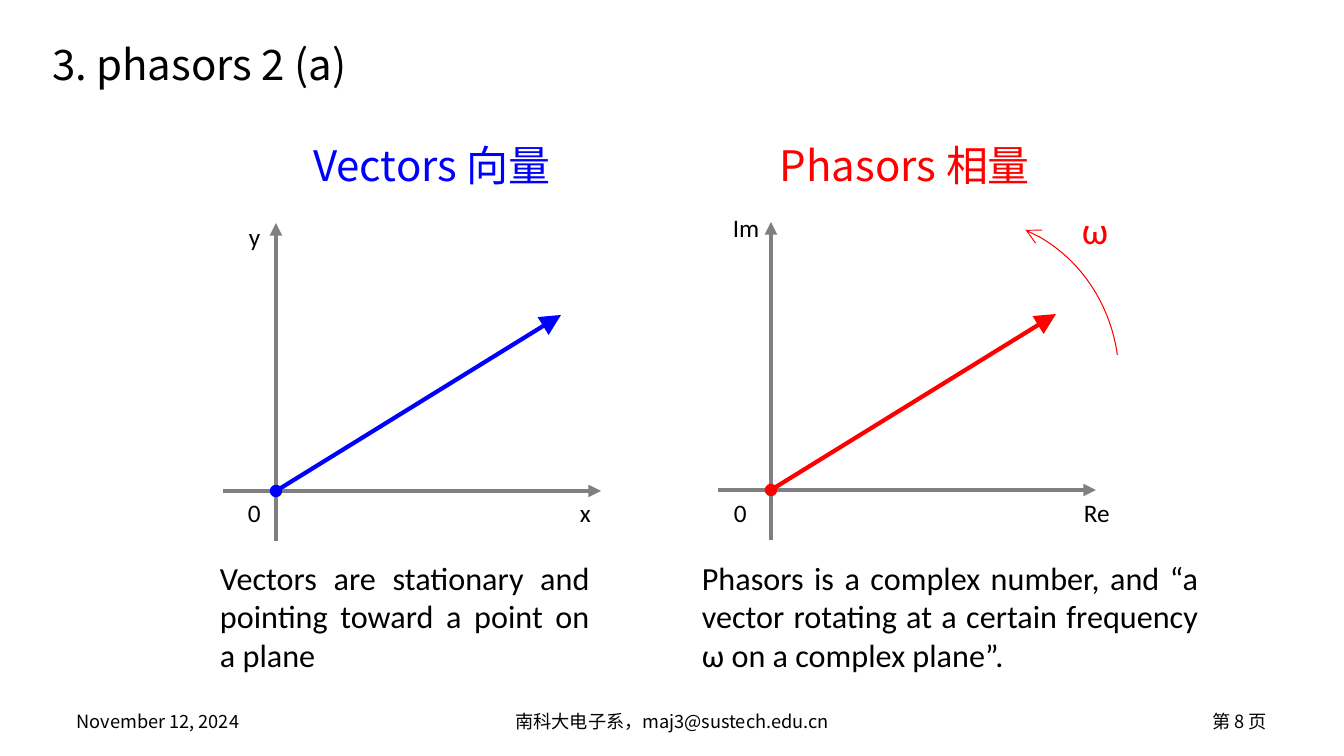
from dataclasses import dataclass

from lxml import etree
from pptx import Presentation
from pptx import util as u
from pptx.dml.color import RGBColor
from pptx.enum import shapes, text
from pptx.oxml.ns import qn

EMU_PER_PX = 914400 / 100.8
ALIGN = text.PP_ALIGN
ANCHOR = text.MSO_ANCHOR


@dataclass(frozen=True)
class Theme:
    ink: str = "000000"
    axis: str = "808080"
    vector: str = "0000FF"
    phasor: str = "FF0000"
    heading_font: str = "Noto Sans CJK SC"
    body_font: str = "Calibri"
    heading: int = 30
    omega: int = 27
    body: int = 23
    label: int = 18
    footer: int = 13
    thick: float = 3
    thin: float = 0.75


T = Theme()


def px(n):
    return u.Emu(round(n * EMU_PER_PX))


def write(sp, words, size, color=T.ink, font=T.body_font, align=ALIGN.LEFT,
          anchor=ANCHOR.TOP, wrap=True):
    tf = sp.text_frame
    tf.text = words
    tf.word_wrap = wrap
    tf.auto_size = text.MSO_AUTO_SIZE.NONE
    tf.vertical_anchor = anchor
    p = tf.paragraphs[0]
    p.alignment = align
    p.space_before = u.Pt(0)
    p.font.size = u.Pt(size)
    p.font.name = font
    p.font.color.rgb = RGBColor.from_string(color)
    defaults = p._p.pPr.find(qn("a:defRPr"))
    latin = defaults.find(qn("a:latin"))
    latin.addnext(latin.makeelement(qn("a:ea"), {"typeface": font}))


def add_text(s, box, words, size, **style):
    sp = s.shapes.add_textbox(*map(px, box))
    write(sp, words, size, **style)


def style_line(sp, color, width, head_size="med", **ends):
    sp.line.color.rgb = RGBColor.from_string(color)
    sp.line.width = u.Pt(width)
    ln = sp.line._get_or_add_ln()
    for end in ("headEnd", "tailEnd"):
        if end in ends:
            size = "med" if ends[end] == "oval" else head_size
            etree.SubElement(ln, qn("a:" + end), type=ends[end],
                             w=size, len=size)


def add_arrow(s, start, tip, color, **ends):
    cxn = s.shapes.add_connector(shapes.MSO_CONNECTOR.STRAIGHT,
                                 *map(px, (*start, *tip)))
    style_line(cxn, color, T.thick, tailEnd="triangle", **ends)
    etree.SubElement(cxn._element.spPr, qn("a:effectLst"))


def add_title(s, box, words):
    sp = s.shapes.title
    sp.left, sp.top, sp.width, sp.height = map(px, box)
    write(sp, words, T.heading, font=T.heading_font)


def add_footer(s, box, date, source, page):
    x, y, w, h = box
    side, middle = 314, 425
    parts = (
        (x, side, date, ALIGN.LEFT),
        (x + (w - middle) / 2, middle, source, ALIGN.CENTER),
        (x + w - side, side, page, ALIGN.RIGHT),
    )
    for left, width, words, align in parts:
        add_text(s, (left, y, width, h), words, T.footer,
                 font=T.heading_font, align=align, anchor=ANCHOR.MIDDLE)


def add_plane(s, box, color, labels):
    x, y, w, h = box
    origin = x + 53, y + 268
    add_arrow(s, (origin[0], y + h), (origin[0], y), T.axis)
    add_arrow(s, (x, origin[1]), (x + w, origin[1]), T.axis)
    add_arrow(s, origin, (x + 338, y + 92), color,
              head_size="lg", headEnd="oval")
    for words, dx, dy, width in labels:
        add_text(s, (x + dx, y + dy, width, 40), words, T.label, wrap=False)


def add_heading(s, box, words, color):
    add_text(s, box, words, T.heading, color=color,
             font=T.heading_font, align=ALIGN.CENTER)


def add_rotation(s, box):
    x, y, w, h = box
    arc = s.shapes.add_shape(shapes.MSO_SHAPE.ARC, *map(px, box))
    arc.shadow.inherit = False
    arc.fill.background()
    for i, degrees in enumerate((291, 351)):
        arc.adjustments[i] = degrees * 0.6
    style_line(arc, T.phasor, T.thin, head_size="lg", headEnd="arrow")
    add_text(s, (x + 254, y - 16, 46, 56), "ω", T.omega,
             color=T.phasor, wrap=False)


def add_vectors(s, box):
    x, y, w, h = box
    add_plane(s, box, T.vector,
              (("0", 15, 269, 33), ("x", 347, 269, 31), ("y", 16, -7, 32)))
    add_heading(s, (x + 68, y - 88, 282, 58), "Vectors 向量", T.vector)
    add_text(s, (x - 13, y + 330, 390, 127),
             "Vectors are stationary and pointing toward a point on a plane",
             T.body, align=ALIGN.JUSTIFY)


def add_phasors(s, box):
    x, y, w, h = box
    add_plane(s, box, T.phasor,
              (("0", 6, 270, 33), ("Re", 356, 270, 46), ("Im", 5, -15, 47)))
    add_rotation(s, (x + 100, y - 4, 301, 321))
    add_heading(s, (x + 46, y - 87, 282, 58), "Phasors 相量", T.phasor)
    add_text(s, (x - 26, y + 331, 517, 127),
             "Phasors is a complex number, and “a vector rotating at a "
             "certain frequency ω on a complex plane”.",
             T.body, align=ALIGN.JUSTIFY)


def main():
    prs = Presentation()
    prs.slide_width, prs.slide_height = px(1344), px(756)
    s = prs.slides.add_slide(prs.slide_layouts[5])
    add_title(s, (42, 33, 748, 58), "3. phasors 2 (a)")
    add_vectors(s, (223, 223, 378, 318))
    add_phasors(s, (718, 222, 378, 318))
    add_footer(s, (67, 701, 1210, 40), "November 12, 2024",
               "南科大电子系，maj3@sustech.edu.cn", "第 8 页")
    prs.save("out.pptx")


if __name__ == "__main__":
    main()
